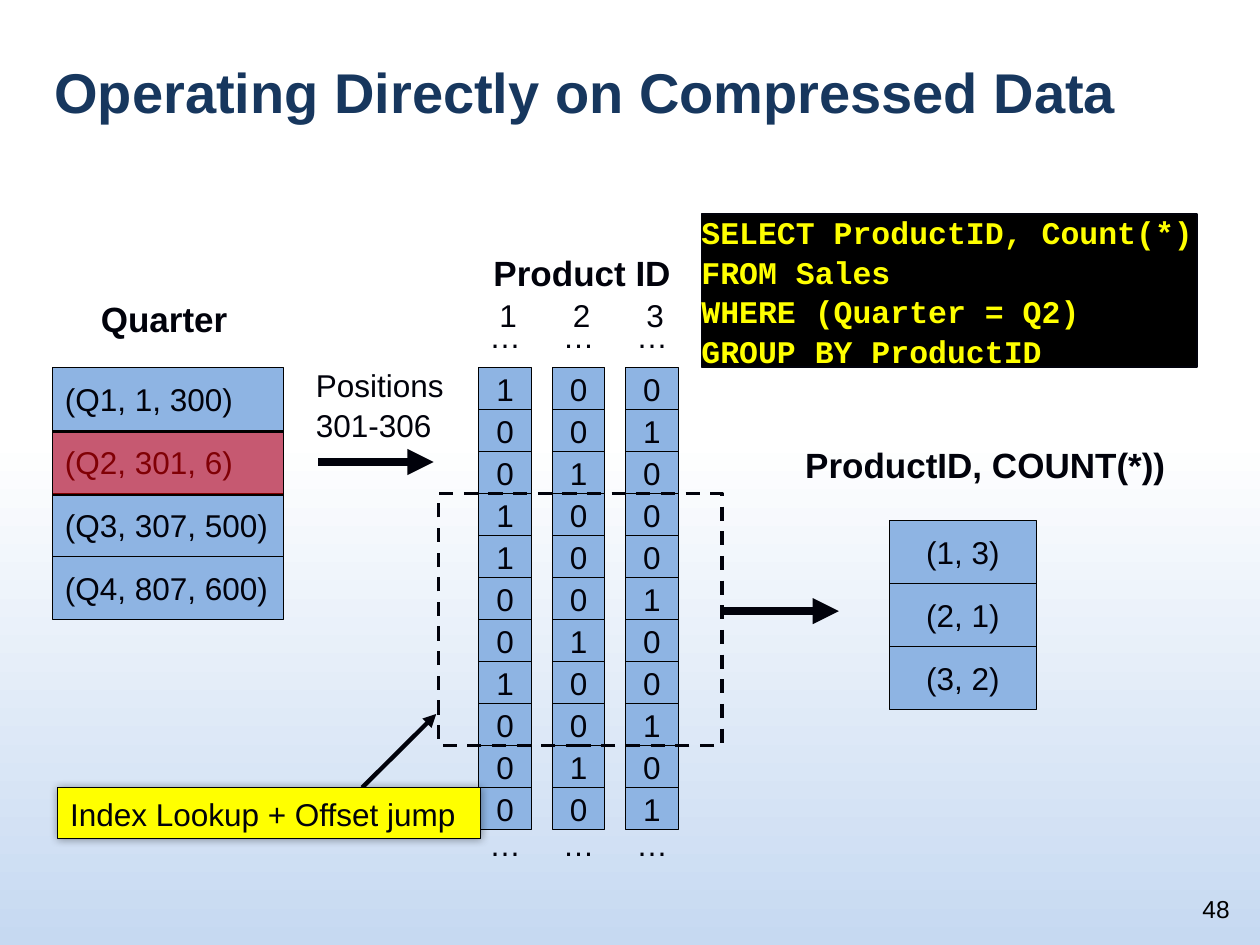
from dataclasses import dataclass
from typing import Optional
from lxml.etree import SubElement
from pptx import Presentation
from pptx.dml.color import RGBColor
from pptx.enum.dml import MSO_LINE
from pptx.enum.shapes import MSO_CONNECTOR, MSO_SHAPE
from pptx.enum.text import MSO_ANCHOR, PP_ALIGN
from pptx.oxml.ns import qn
from pptx.util import Inches, Pt

INK = RGBColor(0x01, 0x02, 0x0B)
BLACK = RGBColor(0, 0, 0)
WHITE = RGBColor(255, 255, 255)
SKY = RGBColor(0xC6, 0xD9, 0xF1)
BLUE = RGBColor(0x8E, 0xB4, 0xE3)
NAVY = RGBColor(0x17, 0x37, 0x5E)
RED = RGBColor(255, 0, 0)
YELLOW = RGBColor(255, 255, 0)

COLS, ROWS = 120, 90
BITS = ("10011001000", "00100010010", "01000100101")
TALLY = ("(1, 3)", "(2, 1)", "(3, 2)")
SPANS = ("(Q1, 1, 300)", "(Q2, 301, 6)", "(Q3, 307, 500)", "(Q4, 807, 600)")
QUERY = ("SELECT ProductID, Count(*)\vFROM Sales",
         "WHERE (Quarter = Q2)", "GROUP BY ProductID")

BODY = {"name": "Arial", "size": Pt(18), "bold": False}
HEAD = BODY | {"size": Pt(20), "bold": True}
CODE = BODY | {"name": "Courier New", "bold": True}
TITLE = BODY | {"size": Pt(32), "bold": True}
SMALL = BODY | {"size": Pt(14)}

FLUSH = {"margin_left": 0, "margin_right": 0, "margin_top": 0,
         "margin_bottom": 0, "word_wrap": True}
PADDED = {"word_wrap": True}
MIDDLE = {"word_wrap": False, "vertical_anchor": MSO_ANCHOR.MIDDLE}
BOTTOM = {"word_wrap": True, "vertical_anchor": MSO_ANCHOR.BOTTOM}

LEFT = {"alignment": PP_ALIGN.LEFT, "line_spacing": 1.05}
MID = {"alignment": PP_ALIGN.CENTER}
RIGHT = {"alignment": PP_ALIGN.RIGHT}
PLAIN = {"alignment": PP_ALIGN.LEFT}


@dataclass(frozen=True)
class Area:
    col: float
    row: float
    wide: float
    high: float


@dataclass(frozen=True)
class Label:
    area: Area
    lines: tuple
    font: dict
    frame: dict
    para: dict
    ink: RGBColor = INK


@dataclass(frozen=True)
class Stack:
    col: float
    row: float
    wide: float
    high: float
    items: tuple
    para: dict


@dataclass(frozen=True)
class Arrow:
    start: tuple
    end: tuple
    width: float


deck = Presentation()
deck.slide_width, deck.slide_height = Inches(10), Inches(7.5)
slide = deck.slides.add_slide(deck.slide_layouts[6])


def across(cols: float) -> int:
    return round(deck.slide_width * cols / COLS)


def down(rows: float) -> int:
    return round(deck.slide_height * rows / ROWS)


def place(area: Area) -> tuple:
    return across(area.col), down(area.row), across(area.wide), down(area.high)


def apply(target, values: dict) -> None:
    for key, value in values.items():
        setattr(target, key, value)


def write(shape, label: Label) -> None:
    frame = shape.text_frame
    apply(frame, label.frame)
    frame.text = "\n".join(label.lines)
    for para in frame.paragraphs:
        apply(para, label.para)
        for run in para.runs:
            apply(run.font, label.font)
            run.font.color.rgb = label.ink


def draw_box(area: Area, fill: Optional[RGBColor], line: RGBColor = BLACK,
             width: float = 0.75):
    shape = slide.shapes.add_shape(MSO_SHAPE.RECTANGLE, *place(area))
    shape.shadow.inherit = False
    if fill is None:
        shape.fill.background()
    else:
        shape.fill.solid()
        shape.fill.fore_color.rgb = fill
    shape.line.color.rgb = line
    shape.line.width = Pt(width)
    return shape


def draw_text(label: Label) -> None:
    write(slide.shapes.add_textbox(*place(label.area)), label)


def draw_stack(stack: Stack) -> None:
    for step, item in enumerate(stack.items):
        area = Area(stack.col, stack.row + step * stack.high, stack.wide, stack.high)
        write(draw_box(area, BLUE), Label(area, (item,), BODY, MIDDLE, stack.para))


def draw_arrow(arrow: Arrow) -> None:
    ends = [f(v) for point in (arrow.start, arrow.end)
            for f, v in zip((across, down), point)]
    link = slide.shapes.add_connector(MSO_CONNECTOR.STRAIGHT, *ends)
    link.line.color.rgb = INK
    link.line.width = Pt(arrow.width)
    SubElement(link.line._get_or_add_ln(), qn("a:tailEnd"), type="triangle")
    SubElement(link._element.spPr, qn("a:effectLst"))


def add_alpha(color, share: int) -> None:
    SubElement(color, qn("a:alpha"), val=str(share * 1000))


def add_glow(shape) -> None:
    effects = shape._element.spPr.find(qn("a:effectLst"))
    shade = SubElement(effects, qn("a:outerShdw"), blurRad=str(Pt(5)), dist="0",
                       dir="0", algn="ctr", rotWithShape="0")
    add_alpha(SubElement(shade, qn("a:srgbClr"), val=str(BLACK)), 40)


back = slide.background.fill
back.gradient()
back.gradient_angle = 270
for stop, spot, tint in zip(back.gradient_stops, (0.46, 1), (WHITE, SKY)):
    stop.position = spot
    stop.color.rgb = tint

for step, bits in enumerate(BITS):
    shift = 7 * step
    draw_stack(Stack(45.6 + shift, 35, 5, 4, tuple(bits), MID))
    for col, row, wide, text in ((46.6, 30, 3, "…"), (46.6, 78.4, 3, "…"),
                                 (47.55, 28, 4, str(step + 1))):
        draw_text(Label(Area(col + shift, row, wide, 3.6), (text,), BODY, FLUSH, LEFT))

draw_box(Area(41.75, 47, 27, 24), None, INK, 2).line.dash_style = MSO_LINE.DASH
draw_stack(Stack(84.7, 49.6, 14, 6, TALLY, MID))
draw_stack(Stack(5, 35, 22, 6, SPANS, PLAIN))

for arrow in (Arrow((68.9, 58.2), (79.9, 58.2), 5),
              Arrow((34.5, 75), (41.55, 68), 2.5),
              Arrow((30.3, 44), (41.3, 44), 5)):
    draw_arrow(arrow)

hint = Label(Area(5.5, 75, 40.25, 4.85), ("Index Lookup + Offset jump",), BODY, PADDED, LEFT)
note = draw_box(hint.area, YELLOW)
add_glow(note)
write(note, hint)

query = Label(Area(66.8, 20.4, 47.2, 14.55), QUERY, CODE, FLUSH, LEFT, YELLOW)
write(draw_box(query.area, BLACK, INK, 1), query)

veil = draw_box(Area(5, 41.15, 22, 6), RED)
add_alpha(veil._element.spPr.find(qn("a:solidFill"))[0], 50)

for label in (
    Label(Area(47, 23.8, 19.3, 4.1), ("Product ID",), HEAD, FLUSH, LEFT),
    Label(Area(9.6, 28.1, 15.2, 4.1), ("Quarter",), HEAD, FLUSH, LEFT),
    Label(Area(75.5, 41.5, 39.7, 5.3), ("ProductID, COUNT(*))",), HEAD, PADDED, LEFT),
    Label(Area(28.9, 34.1, 15.7, 8.5), ("Positions\v301-306",), BODY, PADDED, LEFT),
    Label(Area(4, 3, 111.5, 9.5), ("Operating Directly on Compressed Data",),
          TITLE, BOTTOM, PLAIN, NAVY),
    Label(Area(109.2, 82.5, 9.1, 6), ("48",), SMALL, BOTTOM, RIGHT, BLACK),
):
    draw_text(label)

deck.save("out.pptx")
